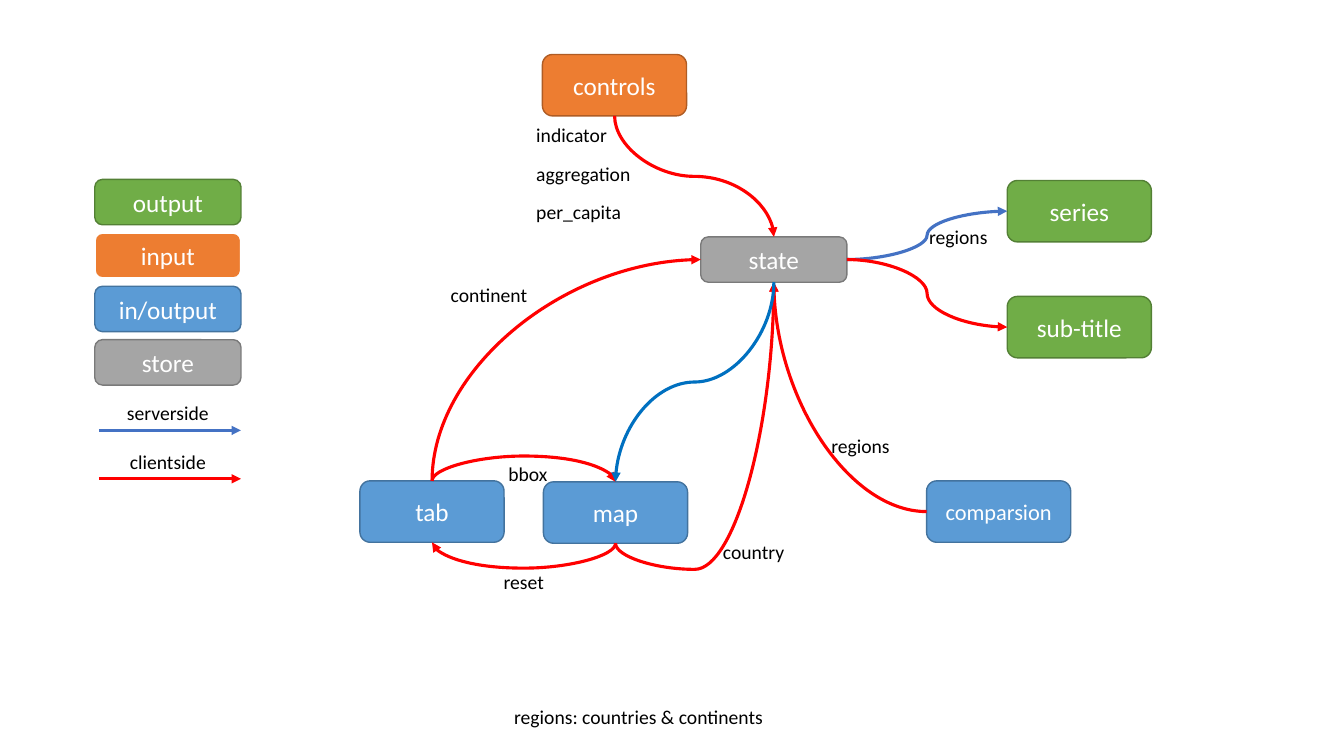
from dataclasses import dataclass

import pptx
import pptx.util
from lxml import etree
from pptx.dml.color import RGBColor
from pptx.enum.shapes import MSO_CONNECTOR, MSO_SHAPE
from pptx.enum.text import MSO_ANCHOR, MSO_AUTO_SIZE, PP_ALIGN
from pptx.oxml.ns import qn
from pptx.util import Inches, Pt


@dataclass(frozen=True)
class Theme:
    font: str = "Calibri"
    box_size: int = 18
    long_size: int = 16
    label_size: int = 14
    link_width: float = 2.25
    white: str = "FFFFFF"
    black: str = "000000"
    server: str = "4472C4"
    client: str = "FF0000"
    refresh: str = "0070C0"
    output: tuple = ("70AD47", "538035")
    input: tuple = ("ED7D31", "AF5C24")
    both: tuple = ("5B9BD5", "43739E")
    store: tuple = ("A5A5A5", "7A7A7A")


THEME = Theme()
TOP, LEFT, BOTTOM, RIGHT = range(4)
NODE = (1.43, 0.61)
KEY = (1.45, 0.45)

# name: left, top, size, colours, type size
NODES = {
    "tab": (3.57, 4.77, NODE, THEME.both, THEME.box_size),
    "map": (5.39, 4.78, NODE, THEME.both, THEME.box_size),
    "controls": (5.38, 0.54, NODE, THEME.input, THEME.box_size),
    "sub-title": (9.99, 2.94, NODE, THEME.output, THEME.box_size),
    "comparsion": (9.19, 4.77, NODE, THEME.both, THEME.long_size),
    "series": (9.99, 1.79, NODE, THEME.output, THEME.box_size),
    "state": (6.95, 2.35, KEY, THEME.store, THEME.box_size),
}

# source, its side, target, its side, colour, bend as a share of the run
LINKS = [
    ("map", BOTTOM, "tab", BOTTOM, THEME.client, -25),
    ("state", RIGHT, "series", LEFT, THEME.server, 0.5),
    ("controls", BOTTOM, "state", TOP, THEME.client, 0.5),
    ("tab", TOP, "state", LEFT, THEME.client, None),
    ("map", BOTTOM, "state", BOTTOM, THEME.client, -0.1),
    ("comparsion", LEFT, "state", BOTTOM, THEME.client, None),
    ("tab", TOP, "map", TOP, THEME.client, -25),
    ("state", BOTTOM, "map", TOP, THEME.refresh, 0.5),
    ("state", RIGHT, "sub-title", LEFT, THEME.client, 0.5),
]

# text, left, top, width, alignment
LABELS = [
    ("reset", 4.72, 5.6, 0.95, PP_ALIGN.CENTER),
    ("country", 7, 5.31, 0.95, PP_ALIGN.CENTER),
    ("continent", 4.32, 2.76, 1.06, PP_ALIGN.CENTER),
    ("bbox", 4.76, 4.53, 0.95, PP_ALIGN.CENTER),
    ("regions", 8.06, 4.26, 0.95, PP_ALIGN.CENTER),
    ("regions", 9.03, 2.18, 0.95, PP_ALIGN.CENTER),
    ("regions: countries & continents", 4.97, 6.94, 2.73, PP_ALIGN.CENTER),
    ("indicator", 5.22, 1.17, 0.95, PP_ALIGN.LEFT),
    ("aggregation", 5.22, 1.56, 1.26, PP_ALIGN.LEFT),
    ("per_capita", 5.22, 1.93, 1.61, PP_ALIGN.LEFT),
]


def apply(target, formats):
    for name, value in formats.items():
        setattr(target, name, value)


def write(box, text, size, colour, align, frame_formats):
    apply(box.text_frame, {"word_wrap": True, **frame_formats})
    para = box.text_frame.paragraphs[0]
    para.alignment = align
    span = para.add_run()
    span.text = text
    apply(span.font, {"name": THEME.font, "size": Pt(size)})
    span.font.color.rgb = RGBColor.from_string(colour)


def add_box(slide, text, left, top, size, colours, type_size, line_width=1):
    box = slide.shapes.add_shape(MSO_SHAPE.ROUNDED_RECTANGLE,
                                 *map(Inches, (left, top, *size)))
    fill, edge = colours
    box.shadow.inherit = False
    box.fill.solid()
    box.fill.fore_color.rgb = RGBColor.from_string(fill)
    box.line.color.rgb = RGBColor.from_string(edge)
    box.line.width = Pt(line_width)
    write(box, text, type_size, THEME.white, PP_ALIGN.CENTER,
          {"vertical_anchor": MSO_ANCHOR.MIDDLE})
    return box


def add_label(slide, text, left, top, width, align):
    box = slide.shapes.add_textbox(*map(Inches, (left, top, width, 0.34)))
    write(box, text, THEME.label_size, THEME.black, align,
          {"auto_size": MSO_AUTO_SIZE.SHAPE_TO_FIT_TEXT})


def add_arrow(slide, kind, start, end, colour):
    arrow = slide.shapes.add_connector(kind, *start, *end)
    arrow.line.color.rgb = RGBColor.from_string(colour)
    arrow.line.width = Pt(THEME.link_width)
    etree.SubElement(arrow.line._get_or_add_ln(), qn("a:tailEnd"), type="triangle")
    etree.SubElement(arrow.element.spPr, qn("a:effectLst"))
    return arrow


def side_point(box, side):
    """Middle of one side of a box."""
    across = {LEFT: 0, RIGHT: box.width}.get(side, box.width // 2)
    down = {TOP: 0, BOTTOM: box.height}.get(side, box.height // 2)
    return box.left + across, box.top + down


def add_link(slide, source, source_side, target, target_side, colour, bend):
    """Curved arrow; one that leaves vertically is a turned horizontal one."""
    start, end = side_point(source, source_side), side_point(target, target_side)
    run, drop = end[0] - start[0], end[1] - start[1]
    link = add_arrow(slide, MSO_CONNECTOR.CURVE, start, end, colour)
    link.begin_connect(source, source_side)
    link.end_connect(target, target_side)

    if source_side in (TOP, BOTTOM):
        angle, across, down = 90, drop, -run
        if run > 0 and drop > 0:
            angle, across, down = 270, -drop, run
    else:
        angle, across, down = 0, run, drop
        if run < 0 and drop < 0:
            angle, across, down = 180, -run, -drop
    width, height = abs(across), abs(down)
    apply(link, {
        "left": (start[0] + end[0] - width) // 2,
        "top": (start[1] + end[1] - height) // 2,
        "width": width,
        "height": height,
    })
    apply(link.element.spPr.xfrm,
          {"rot": angle, "flipH": across < 0, "flipV": down < 0})

    geometry = link.element.spPr.find(qn("a:prstGeom"))
    if bend is None:
        geometry.set("prst", "curvedConnector2")
    else:
        etree.SubElement(geometry.find(qn("a:avLst")), qn("a:gd"),
                         name="adj1", fmla=f"val {round(bend * 100000)}")


def add_legend(slide):
    kinds = [
        ("output", THEME.output, 1),
        ("input", (THEME.input[0], THEME.white), 1.5),
        ("in/output", THEME.both, 1),
        ("store", THEME.store, 1),
    ]
    for row, (text, colours, line_width) in enumerate(kinds):
        add_box(slide, text, 0.94, 1.78 + 0.53 * row, KEY, colours,
                THEME.box_size, line_width)
    sides = [("serverside", THEME.server), ("clientside", THEME.client)]
    for row, (text, colour) in enumerate(sides):
        top = 3.93 + 0.48 * row
        add_label(slide, text, 1.04, top, 1.25, PP_ALIGN.CENTER)
        height = Inches(top + 0.34)
        add_arrow(slide, MSO_CONNECTOR.STRAIGHT, (Inches(0.98), height),
                  (Inches(2.39), height), colour)


def main():
    deck = pptx.Presentation()
    apply(deck, {"slide_width": Inches(13.33), "slide_height": Inches(7.5)})
    slide = deck.slides.add_slide(deck.slide_layouts[6])
    boxes = {name: add_box(slide, name, *node) for name, node in NODES.items()}
    for source, source_side, target, target_side, colour, bend in LINKS:
        add_link(slide, boxes[source], source_side, boxes[target], target_side,
                 colour, bend)
    for label in LABELS:
        add_label(slide, *label)
    add_legend(slide)
    deck.save("out.pptx")


if __name__ == "__main__":
    main()
